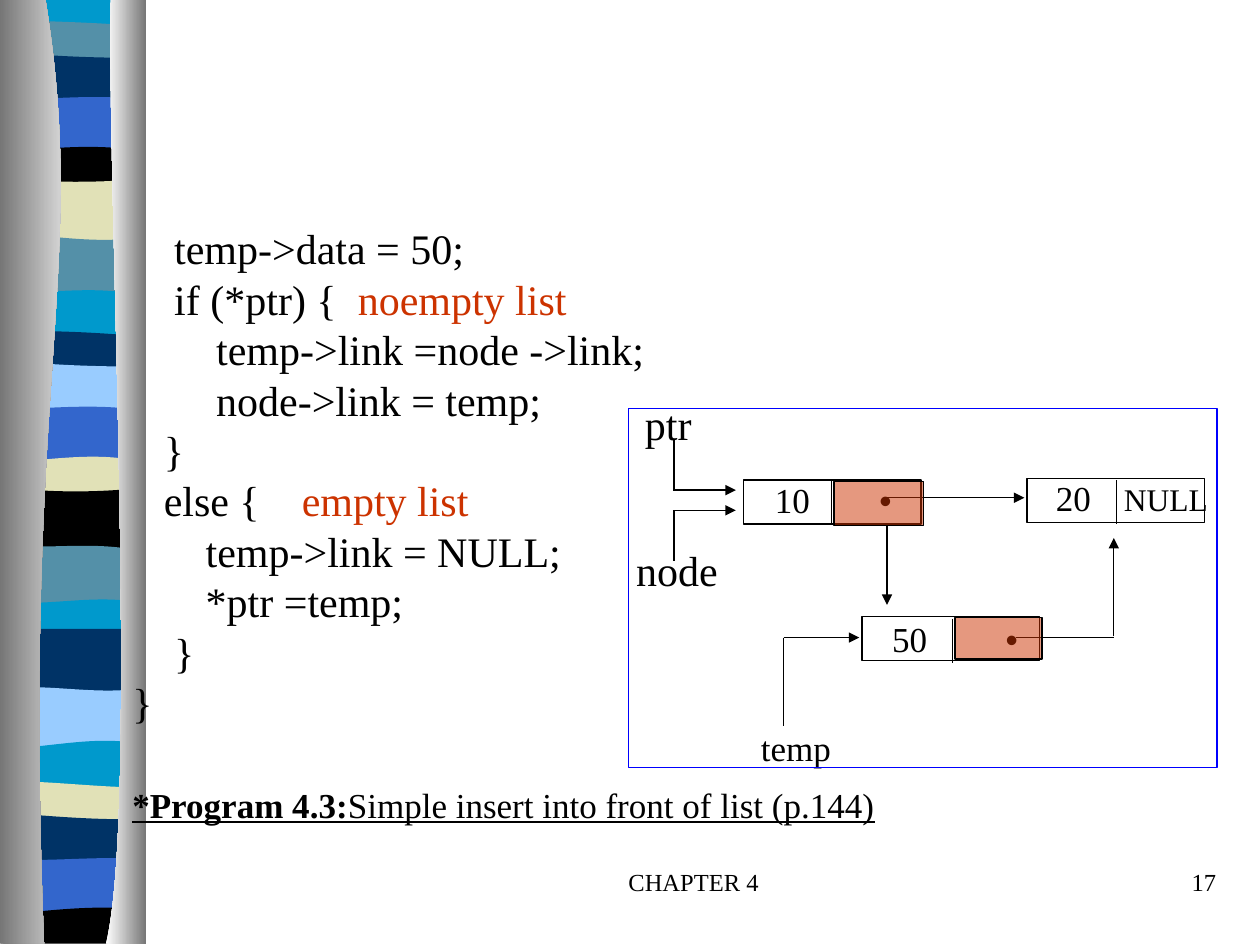
from lxml import etree
from pptx import Presentation
from pptx.dml.color import RGBColor
from pptx.enum.shapes import MSO_CONNECTOR, MSO_SHAPE
from pptx.enum.text import MSO_ANCHOR, MSO_AUTO_SIZE, PP_ALIGN
from pptx.oxml.ns import qn
from pptx.util import Inches, Pt

RECTANGLE = MSO_SHAPE.RECTANGLE
STRAIGHT = MSO_CONNECTOR.STRAIGHT
LEFT, CENTER, RIGHT = PP_ALIGN.LEFT, PP_ALIGN.CENTER, PP_ALIGN.RIGHT
COLORS = {
    "black": "000000", "red": "CC3300", "frame": "0000FF", "cyan": "0099CC",
    "teal": "5490A8", "sand": "E1E1B7", "blue": "3366CC", "navy": "003366",
    "sky": "99CCFF", "gray": "767676", "white": "FFFFFF",
}
RGB = {name: RGBColor.from_string(value) for name, value in COLORS.items()}


def add_run(paragraph, text, size=24, color="black", font="Times New Roman",
            bold=False, underline=False):
    run = paragraph.add_run()
    run.text = text
    run.font.size = Pt(size)
    run.font.name = font
    run.font.color.rgb = RGB[color]
    run.font.bold = bold
    run.font.underline = underline


presentation = Presentation()
presentation.slide_width, presentation.slide_height = Inches(10), Inches(7.5)
layout = presentation.slide_layouts[5]
slide = presentation.slides.add_slide(layout)
shapes = slide.shapes

# Ribbon: each band has a wavy top edge (four control heights), overlapped by the next
bands = [
    ("cyan", -0.01, -0.01, -0.01, -0.01), ("teal", 0.16, 0.17, 0.18, 0.21),
    ("navy", 0.41, 0.45, 0.46, 0.46), ("blue", 0.8, 0.78, 0.75, 0.79),
    ("black", 1.21, 1.17, 1.14, 1.2), ("sand", 1.42, 1.45, 1.45, 1.42),
    ("teal", 1.85, 1.87, 1.94, 1.88), ("cyan", 2.32, 2.33, 2.26, 2.35),
    ("navy", 2.63, 2.62, 2.64, 2.67), ("sky", 2.86, 2.9, 2.91, 2.91),
    ("blue", 3.25, 3.24, 3.2, 3.26), ("sand", 3.67, 3.65, 3.58, 3.67),
    ("black", 3.87, 3.91, 3.91, 3.87), ("teal", 4.33, 4.36, 4.29, 4.38),
    ("cyan", 4.78, 4.81, 4.71, 4.79), ("navy", 4.99, 4.99, 4.99, 4.99),
    ("sky", 5.46, 5.43, 5.52, 5.46), ("cyan", 5.94, 5.93, 5.83, 5.91),
    ("sand", 6.2, 6.2, 6.25, 6.25), ("navy", 6.45, 6.48, 6.51, 6.5),
    ("blue", 6.82, 6.84, 6.79, 6.82), ("black", 7.26, 7.22, 7.18, 7.22),
]
band_bottoms = [band[1] + 0.15 for band in bands[1:]] + [7.49]
outlines = []
for (color, *heights), bottom in zip(bands, band_bottoms):
    edge = list(zip((0.06, 0.42, 0.78, 1.14), heights))
    outlines.append((edge + [(1.14, bottom), (0.06, bottom)], [color]))

# Shaded cylinders on both sides of the ribbon
outlines += [
    ([(0.36, -0.01), (0.71, 2.16), (0.17, 2.96), (0.35, 7.49), (0, 7.49), (0, -0.01)],
     ["gray", "white"]),
    ([(0.88, -0.01), (0.84, 1.25), (1.11, 6.46), (0.84, 7.49), (1.16, 7.49), (1.16, -0.01)],
     ["white", "gray"]),
]

# The decoration belongs to the layout; the first four points of an outline are a curve
for points, colors in outlines:
    start, *others = [(Inches(x), Inches(y)) for x, y in points]
    builder = shapes.build_freeform(*start)
    builder.add_line_segments(others, close=True)
    shape = builder.convert_to_shape()
    segments = shape.element.findall(".//" + qn("a:lnTo"))[:3]
    bezier = etree.Element(qn("a:cubicBezTo"))
    segments[0].addprevious(bezier)
    for segment in segments:
        bezier.append(segment[0])
        segment.getparent().remove(segment)
    shape.shadow.inherit = False
    shape.line.fill.background()
    if len(colors) == 1:
        shape.fill.solid()
        shape.fill.fore_color.rgb = RGB[colors[0]]
    else:
        shape.fill.gradient()
        shape.fill.gradient_angle = 0
        for stop, color in zip(shape.fill.gradient_stops, colors):
            stop.color.rgb = RGB[color]
    layout.shapes.element.append(shape.element)

# Code and caption
title = shapes.title
title.left, title.top = Inches(0.95), Inches(1.72)
title.width, title.height = Inches(8.5), Inches(4.88)
frame = title.text_frame
frame.word_wrap = True
frame.auto_size = MSO_AUTO_SIZE.NONE
frame.vertical_anchor = MSO_ANCHOR.MIDDLE
code_lines = [
    ("    temp->data = 50;", ""),
    ("    if (*ptr) {  ", "noempty list"),
    ("        temp->link =node ->link;", ""),
    ("        node->link = temp;", ""),
    ("   }", ""),
    ("   else {    ", "empty list"),
    ("       temp->link = NULL;", ""),
    ("       *ptr =temp;", ""),
    ("    }", ""),
    ("}", ""),
]
code = frame.paragraphs[0]
for index, (statement, remark) in enumerate(code_lines):
    if index:
        code.add_line_break()
    add_run(code, statement)
    if remark:
        add_run(code, remark, color="red")
caption = frame.add_paragraph()
caption.space_before = Pt(27.5)
add_run(caption, "*Program 4.3:", size=20, bold=True, underline=True)
add_run(caption, "Simple insert into front of list (p.144)", size=20, underline=True)
for paragraph in (code, caption):
    paragraph.alignment = LEFT
    paragraph.line_spacing = Pt(28.8)

# Lines: from, to, arrowhead
lines = [
    (7.56, 4.91, 7.56, 5.26, False), (8.86, 3.81, 8.86, 4.16, False),
    (6.6, 3.81, 6.6, 4.16, False), (7.03, 3.95, 8.13, 3.95, True),
    (7.04, 4.16, 7.04, 4.8, True), (8.84, 5.05, 8.84, 4.27, True),
    (8.06, 5.06, 8.84, 5.06, False), (6.22, 5.06, 6.82, 5.06, True),
    (6.22, 5.06, 6.22, 5.76, False), (5.36, 4.05, 5.84, 4.05, True),
    (5.36, 3.89, 5.84, 3.89, True), (5.35, 4.05, 5.35, 4.45, False),
    (5.35, 3.49, 5.35, 3.9, False),
]
for *ends, arrow in lines:
    connector = shapes.add_connector(STRAIGHT, *map(Inches, ends))
    connector.line.color.rgb = RGB["black"]
    connector.line.width = Pt(0.75)
    if arrow:
        etree.SubElement(connector.line._get_or_add_ln(), qn("a:tailEnd"), type="triangle")
    etree.SubElement(connector.element.spPr, qn("a:effectLst"))

# Boxes: place, outline, tint, left and right inset, alignment, tab stop, runs
dot = ("•", {"size": 20, "font": "Arial"})
plain = (0.1, 0.1, LEFT, None, [])
label = (0.1, 0, LEFT, None)
boxes = [
    (3.92, 6.83, 3.17, 0.5, None, None, 0.1, 0.1, CENTER, None, [("CHAPTER 4", {"size": 14})]),
    (7.67, 6.83, 2.08, 0.5, None, None, 0.1, 0.1, RIGHT, None, [("17", {"size": 14})]),
    (8.15, 3.8, 1.41, 0.35, "black", None, *plain),
    (6.84, 4.89, 1.41, 0.35, "black", None, 0.24, 0, LEFT, 0.9, [("50\t", {"size": 20}), dot]),
    (5.9, 3.81, 1.41, 0.35, "black", None, *plain),
    (5.88, 3.75, 1.3, 0.44, None, None, 0.27, 0, LEFT, 0.83, [("10\t", {"size": 20}), dot]),
    (8.21, 3.73, 1.53, 0.44, None, None, 0.17, 0, LEFT, 0.54,
     [("20\t", {"size": 20}), ("NULL", {"size": 18})]),
    (5.94, 5.72, 0.75, 0.44, None, None, *label, [("temp", {"size": 20})]),
    (5.02, 3.11, 0.57, 0.5, None, None, *label, [("ptr", {})]),
    (4.95, 4.27, 0.85, 0.5, None, None, *label, [("node", {})]),
    (6.62, 3.82, 0.71, 0.35, "black", "red", *plain),
    (7.58, 4.9, 0.69, 0.33, "black", "red", *plain),
    (4.99, 3.24, 4.67, 2.85, "frame", None, *plain),
]
for *place, outline, tint, inset_left, inset_right, alignment, tab, runs in boxes:
    place = [Inches(value) for value in place]
    if outline:
        shape = shapes.add_shape(RECTANGLE, *place)
        shape.shadow.inherit = False
        shape.fill.background()
        shape.line.color.rgb = RGB[outline]
        shape.line.width = Pt(0.75)
    else:
        shape = shapes.add_textbox(*place)
    if tint:
        shape.fill.solid()
        shape.fill.fore_color.rgb = RGB[tint]
        fill_color = shape.element.spPr.find(".//" + qn("a:srgbClr"))
        etree.SubElement(fill_color, qn("a:alpha"), val="50000")
    if runs:
        frame = shape.text_frame
        frame.word_wrap = True
        frame.margin_left, frame.margin_right = Inches(inset_left), Inches(inset_right)
        paragraph = frame.paragraphs[0]
        paragraph.alignment = alignment
        if tab:
            tabs = etree.SubElement(paragraph._p.get_or_add_pPr(), qn("a:tabLst"))
            etree.SubElement(tabs, qn("a:tab"), pos=str(Inches(tab)), algn="l")
        for text, text_format in runs:
            add_run(paragraph, text, **text_format)

presentation.save("out.pptx")
